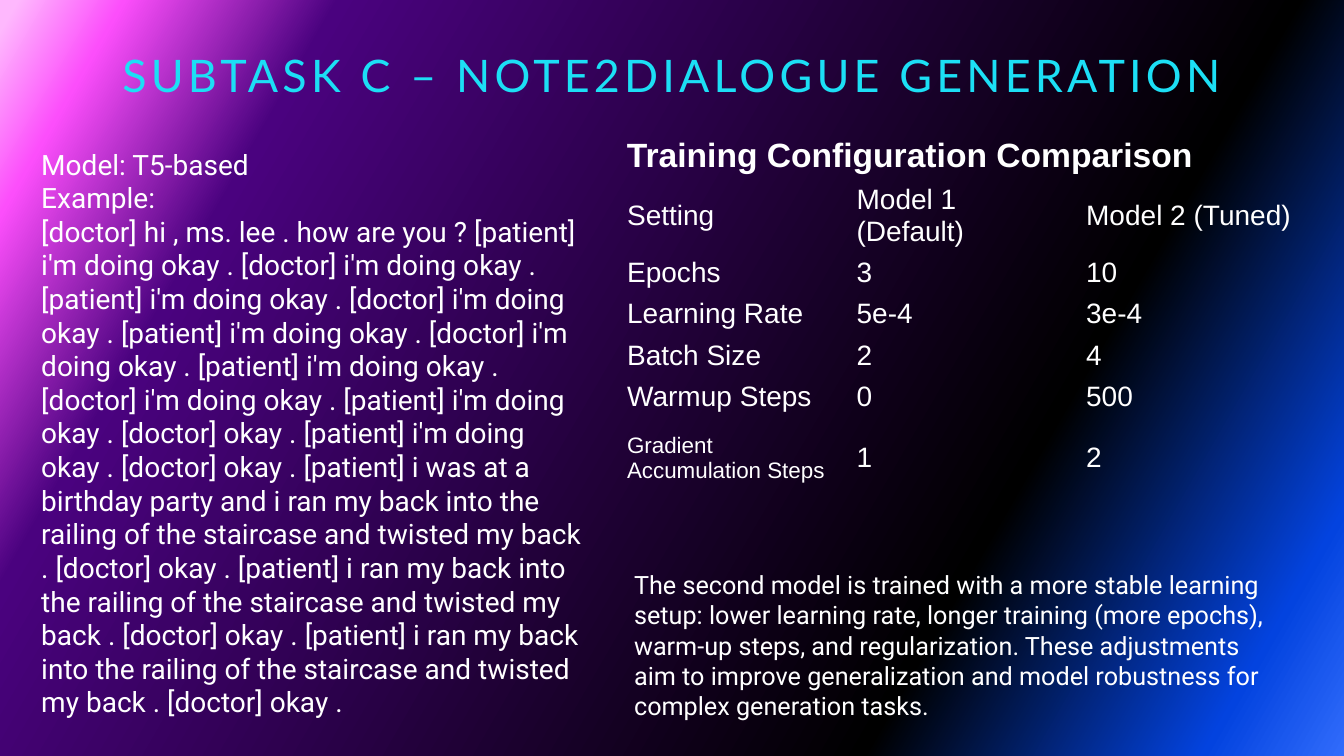
"""Build the slide on note-to-dialogue generation."""
from copy import deepcopy
from dataclasses import dataclass
from pptx import Presentation
from pptx.dml.color import RGBColor
from pptx.enum.text import MSO_ANCHOR, MSO_AUTO_SIZE, PP_ALIGN
from pptx.oxml.ns import qn
from pptx.util import Inches, Pt


@dataclass(frozen=True)
class Theme:
    """Colours, fonts and type sizes of the slide."""
    ink: str = "FFFFFF"
    accent: str = "1CDFF5"
    stops: tuple = ((0, "316CFC"), (8, "0343DF"), (27, "000000"),
                    (81, "4A027F"), (93, "FC4EFB"), (99, "FEB8FD"))
    angle: int = 150
    display: str = "Lato"
    body: str = "Roboto"
    plain: str = "Arial"
    title: int = 32
    head: int = 24
    text: int = 20
    note: int = 18
    small: int = 16


THEME = Theme()
WIDE, HIGH = Inches(13.33), Inches(7.5)
NO_GRID = "{2D5ABB26-0587-4C30-8999-92F81FD0307C}"
TITLE = "SUBTASK C – NOTE2DIALOGUE GENERATION"
HEAD = "Training Configuration Comparison"
ROWS = (
    ("Setting", "Model 1 (Default)", "Model 2 (Tuned)"),
    ("Epochs", "3", "10"),
    ("Learning Rate", "5e-4", "3e-4"),
    ("Batch Size", "2", "4"),
    ("Warmup Steps", "0", "500"),
    ("Gradient Accumulation Steps", "1", "2"),
)
TALL = (9.47, 5.47, 5.47, 5.47, 5.47, 10.8)
NOTE = (
    "The second model is trained with a more stable learning setup: lower "
    "learning rate, longer training (more epochs), warm-up steps, and "
    "regularization. These adjustments aim to improve generalization and "
    "model robustness for complex generation tasks."
)
SAMPLE = (
    "Model: T5-based\nExample:\n"
    "[doctor] hi , ms. lee . how are you ? [patient] i'm doing okay . "
    "[doctor] i'm doing okay . [patient] i'm doing okay . "
    "[doctor] i'm doing okay . [patient] i'm doing okay . "
    "[doctor] i'm doing okay . [patient] i'm doing okay . "
    "[doctor] i'm doing okay . [patient] i'm doing okay . "
    "[doctor] okay . [patient] i'm doing okay . "
    "[doctor] okay . [patient] i was at a birthday party and i ran my back "
    "into the railing of the staircase and twisted my back . "
    "[doctor] okay . [patient] i ran my back "
    "into the railing of the staircase and twisted my back . "
    "[doctor] okay . [patient] i ran my back "
    "into the railing of the staircase and twisted my back . "
    "[doctor] okay ."
)


def place(left, top, width, height):
    """Turn percentages of the slide into a box of lengths."""
    return (int(WIDE * left / 100), int(HIGH * top / 100),
            int(WIDE * width / 100), int(HIGH * height / 100))


def style(frame, face, size, color=THEME.ink, bold=False, align=None):
    """Format every run of a text frame."""
    for para in frame.paragraphs:
        para.alignment = align
        for run in para.runs:
            font = run.font
            font.name, font.size, font.bold = face, Pt(size), bold
            font.color.rgb = RGBColor.from_string(color)


def paint(slide):
    """Fill the background with the theme's gradient."""
    fill = slide.background.fill
    fill.gradient()
    fill.gradient_angle = THEME.angle
    stops = slide.element.find(".//" + qn("a:gsLst"))
    seed = deepcopy(stops[0])
    for stop in list(stops):
        stops.remove(stop)
    for _ in THEME.stops:
        stops.append(deepcopy(seed))
    for stop, (share, color) in zip(fill.gradient_stops, THEME.stops):
        stop.position = share / 100
        stop.color.rgb = RGBColor.from_string(color)


def name(slide, text):
    """Write the title across the slide."""
    title = slide.shapes.title
    title.left, title.top, title.width, title.height = place(0, 4.4, 100, 9.07)
    frame = title.text_frame
    frame.text = text
    frame.auto_size = MSO_AUTO_SIZE.NONE
    frame.vertical_anchor = MSO_ANCHOR.BOTTOM
    frame.margin_left = frame.margin_right = frame.margin_bottom = 0
    style(frame, THEME.display, THEME.title, THEME.accent,
          align=PP_ALIGN.CENTER)
    para = frame.paragraphs[0]
    para.line_spacing = 0.9
    para.runs[0].font._element.set("spc", "300")


def write(slide, box, text, face, size, wrap=True, **look):
    """Add a text box."""
    frame = slide.shapes.add_textbox(*place(*box)).text_frame
    frame.word_wrap = wrap
    frame.auto_size = MSO_AUTO_SIZE.SHAPE_TO_FIT_TEXT
    frame.text = text
    style(frame, face, size, **look)


def grid(slide, box, rows, tall):
    """Add a plain table without fills or borders."""
    shape = slide.shapes.add_table(len(rows), len(rows[0]), *place(*box))
    table = shape.table
    table.first_row = table.horz_banding = False
    shape._element.find(".//" + qn("a:tableStyleId")).text = NO_GRID
    for line, share, texts in zip(table.rows, tall, rows):
        line.height = int(HIGH * share / 100)
        for cell, text in zip(line.cells, texts):
            cell.text = text
            cell.fill.background()
            cell.vertical_anchor = MSO_ANCHOR.MIDDLE
            size = THEME.small if text == rows[-1][0] else THEME.text
            style(cell.text_frame, THEME.plain, size)


def main():
    """Build and save the slide."""
    deck = Presentation()
    deck.slide_width, deck.slide_height = WIDE, HIGH
    slide = deck.slides.add_slide(deck.slide_layouts[5])
    paint(slide)
    name(slide, TITLE)
    grid(slide, (45.91, 23.73, 51.24, sum(TALL)), ROWS, TALL)
    write(slide, (45.91, 17.07, 43.96, 6.67), HEAD, THEME.plain, THEME.head,
          wrap=False, bold=True, align=PP_ALIGN.JUSTIFY)
    write(slide, (46.44, 74.67, 50.04, 21.6), NOTE, THEME.body, THEME.note)
    write(slide, (2.33, 18.8, 42.09, 77.6), SAMPLE, THEME.body, THEME.text)
    deck.save("out.pptx")


if __name__ == "__main__":
    main()
